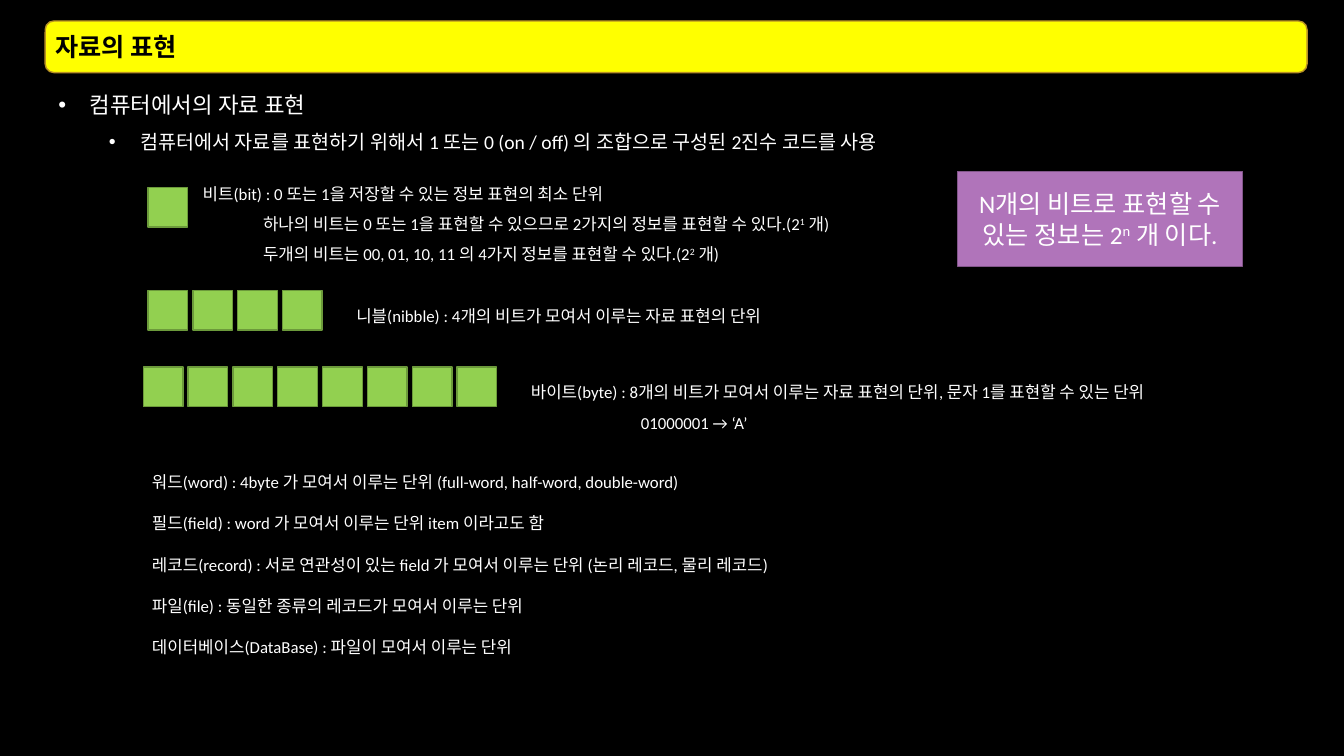
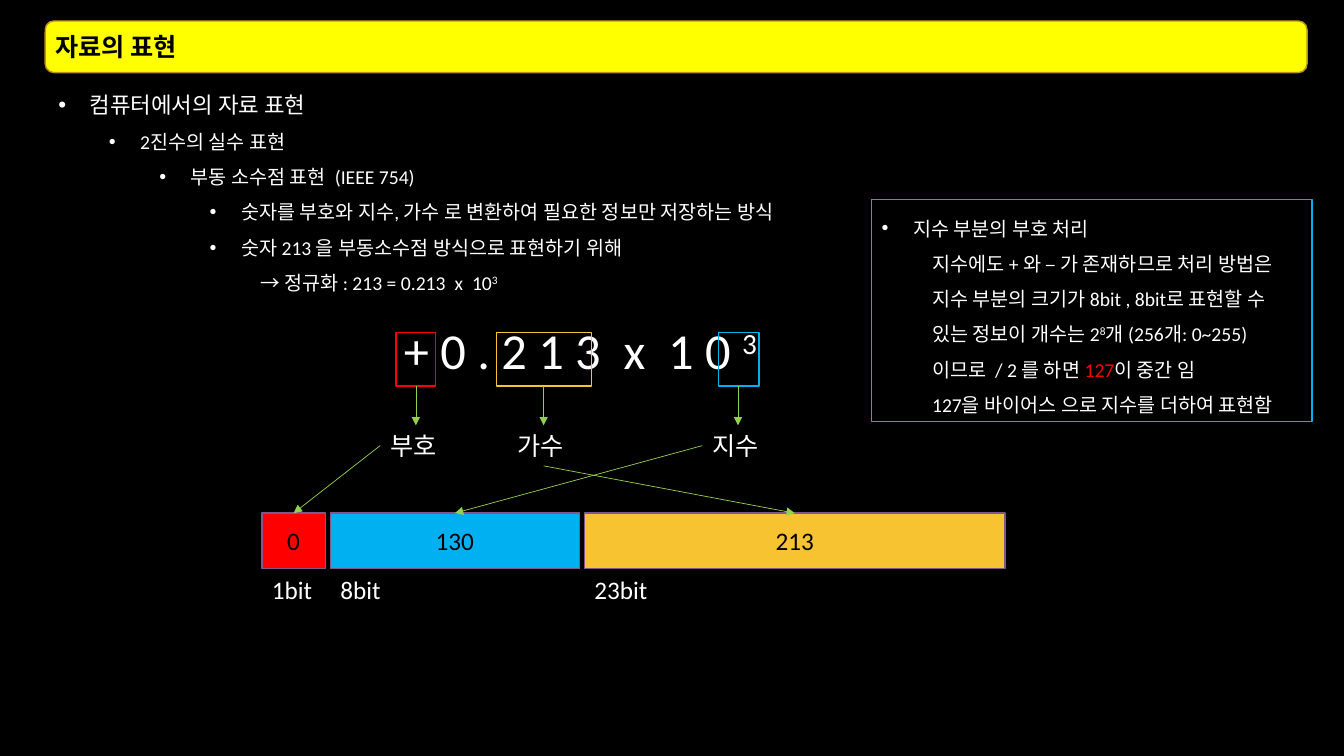
from dataclasses import dataclass

from lxml.etree import SubElement
from pptx import Presentation
from pptx.dml.color import RGBColor
from pptx.enum.shapes import MSO_CONNECTOR as Link, MSO_SHAPE as Preset
from pptx.enum.text import MSO_ANCHOR as Anchor, MSO_AUTO_SIZE as Fit, PP_ALIGN as Align
from pptx.oxml.ns import qn
from pptx.util import Cm, Pt

FONT = "Calibri"
BLACK, WHITE, YELLOW, GOLD = "000000", "FFFFFF", "FFFF00", "B79024"
GREEN, DARK_GREEN, PURPLE, DARK_PURPLE = "92D050", "6C9A3B", "B074BA", "82568A"
RED, BLUE, AMBER = "FF0000", "00B0F0", "F7C331"
SUPER, WIDE = "super", "wide"
HANG, STEP = 0.79, 1.27


@dataclass
class Line:
    """One paragraph: its spans as (text, style) pairs and its indents in cm."""
    spans: list
    size: float = 12
    level: int = 0
    margin: float = 0
    bullet: bool = False


@dataclass
class Part:
    """One part of a floating point number and the field that stores it."""
    name: str
    color: str
    frame: tuple
    label: float
    field: tuple
    value: str
    bits: str
    from_below: bool = False


def rgb(color):
    """Turn a hex string into a colour."""
    return RGBColor.from_string(color)


def plain(text, size=12, margin=0, level=0):
    """Make a line of one span without a bullet."""
    return Line([(text, None)], size, level, margin)


def bullet(text, level=0, size=14):
    """Make a bulleted line indented by its level."""
    return Line([(text, None)], size, level, HANG + STEP * level, True)


def style_span(span, style, size, color, bold):
    """Format one run, raised, widely spaced or coloured by its style."""
    font = span.font
    font.name, font.size, font.bold = FONT, Pt(size), bold
    special = style in (SUPER, WIDE, None)
    font.color.rgb = rgb(color if special else style)
    props = span._r.get_or_add_rPr()
    if style == SUPER:
        props.set("baseline", "30000")
    elif style == WIDE:
        props.set("spc", str(round(size * 22.6)))


def write(frame, lines, color=WHITE, spacing=1.0, align=Align.LEFT, bold=False):
    """Fill a text frame with lines and format them."""
    frame.word_wrap = True
    frame.text = "\n".join(line.spans[0][0] for line in lines)
    for para, line in zip(frame.paragraphs, lines):
        para.level, para.alignment = line.level, align
        para.line_spacing, para.space_before = spacing, Pt(0)
        props = para._p.get_or_add_pPr()
        props.set("marL", str(Cm(line.margin)))
        props.set("indent", str(Cm(-HANG) if line.bullet else 0))
        if line.bullet:
            SubElement(props, qn("a:buFont"), typeface="Arial")
            SubElement(props, qn("a:buChar"), char="•")
        else:
            SubElement(props, qn("a:buNone"))
        for text, _ in line.spans[1:]:
            para.add_run().text = text
        for span, (_, style) in zip(para.runs, line.spans):
            style_span(span, style, line.size, color, bold)


def add_box(page, box, fill, edge, preset=Preset.RECTANGLE):
    """Add a flat shape, hollow when it has no fill."""
    shape = page.shapes.add_shape(preset, *map(Cm, box))
    shape.shadow.inherit = False
    if fill:
        shape.fill.solid()
        shape.fill.fore_color.rgb = rgb(fill)
    else:
        shape.fill.background()
    shape.line.color.rgb, shape.line.width = rgb(edge), Pt(1)
    shape.text_frame.vertical_anchor = Anchor.MIDDLE
    return shape


def add_text(page, box, lines, spacing=1.0):
    """Add a text box that grows with its lines."""
    frame = page.shapes.add_textbox(*map(Cm, box)).text_frame
    write(frame, lines, spacing=spacing)
    frame.auto_size = Fit.SHAPE_TO_FIT_TEXT


def add_arrow(page, start, end):
    """Add a thin green arrow between two points."""
    arrow = page.shapes.add_connector(Link.STRAIGHT, *map(Cm, (*start, *end)))
    arrow.line.color.rgb, arrow.line.width = rgb(GREEN), Pt(0.5)
    SubElement(arrow.line._get_or_add_ln(), qn("a:tailEnd"), type="triangle")
    SubElement(arrow._element.spPr, qn("a:effectLst"))


def place(holder, box, anchor):
    """Move a placeholder to a box and fix its text settings."""
    holder.left, holder.top, holder.width, holder.height = map(Cm, box)
    holder.text_frame.vertical_anchor = anchor
    holder.text_frame.auto_size = Fit.NONE


def add_page(deck, title, outline):
    """Add a slide with the yellow title band and the outline."""
    page = deck.slides.add_slide(deck.slide_layouts[1])
    heading, body = page.placeholders
    title_box = (1.14, 0.53, 31.8, 1.3)
    band = add_box(page, title_box, YELLOW, GOLD, Preset.ROUNDED_RECTANGLE)
    heading.element.addprevious(band.element)
    place(heading, title_box, Anchor.MIDDLE)
    write(heading.text_frame, [plain(title, 18)], BLACK, bold=True)
    place(body, (1.22, 1.83, 31.7, 16.41), Anchor.TOP)
    write(body.text_frame, outline, spacing=1.5)
    return page


def add_unit(page, left, top, count, lines, gap=0.48, rise=0.0):
    """Draw a row of bit squares with its explanation to the right."""
    side, pitch = 1, 1.13
    for index in range(count):
        add_box(page, (left + index * pitch, top, side, side), GREEN, DARK_GREEN)
    text_left = left + count * pitch + gap
    add_text(page, (text_left, top - rise, 18.21, 0.85 * len(lines)), lines, 1.5)


def add_terms(page, left, top, terms):
    """List the larger units at equal distances."""
    for index, term in enumerate(terms):
        add_text(page, (left, top + index * 1.04, 18.21, 1.02), [plain(term)], 1.5)


def add_part(page, left, top, part):
    """Link a part of the formula to its label and its storage field."""
    label_top, label_width, label_height = top + 2.8, 1.8, 1.02
    field_top, field_height = top + 5.01, 1.4
    frame_left, frame_width = part.frame
    field_left, field_width = left + part.field[0], part.field[1]
    label_left = left + part.label
    middle = label_left + label_width / 2

    add_box(page, (left + frame_left, top + 0.46, frame_width, 1.35), None, part.color)
    add_text(page, (label_left, label_top, label_width, label_height),
             [plain(part.name, 18)])
    add_arrow(page, (middle, top + 1.8), (middle, label_top))

    field = add_box(page, (field_left, field_top, field_width, field_height),
                    part.color, DARK_PURPLE)
    write(field.text_frame, [plain(part.value, 18)], BLACK, align=Align.CENTER)
    add_text(page, (field_left, field_top + 1.42, 2.41, 1.02), [plain(part.bits, 18)])
    if part.from_below:
        start = (middle, label_top + label_height)
    else:
        start = (label_left, label_top + label_height / 2)
    add_arrow(page, start, (field_left + field_width / 2, field_top))


def add_float_diagram(page, left, top):
    """Draw the normalised number and how its parts are stored."""
    formula = Line([("+ 0 . 2 1 3", None), (" ", WIDE), ("x", None), (" ", WIDE),
                    ("1 0 ", None), ("3", SUPER)], 36)
    add_text(page, (left + 3.33, top, 11, 1.8), [formula])
    parts = [
        Part("부호", RED, (3.38, 1), 2.98, (0, 1.6), "0", "1bit"),
        Part("가수", AMBER, (5.92, 2.39), 6.2, (8.13, 10.6), "213", "23bit", True),
        Part("지수", BLUE, (11.51, 1.02), 11.1, (1.73, 6.27), "130", "8bit"),
    ]
    for part in parts:
        add_part(page, left, top, part)


def add_bias_note(page, box):
    """Explain the sign of the exponent in a blue frame."""
    note = add_box(page, box, None, BLUE)
    write(note.text_frame, [
        bullet("지수 부분의 부호 처리"),
        plain("지수에도 + 와 – 가 존재하므로 처리 방법은", 14, STEP, 1),
        Line([("지수 부분의 크기가 8bit , 8bit로 표현할 수 있는 정보이 개수는 2", None),
              ("8", SUPER), ("개 (256개: 0~255) 이므로", None), (" ", WIDE),
              ("/ 2 를 하면 ", None), ("127", RED), ("이 중간 임", None)], 14, 1, STEP),
        plain("127을 바이어스 으로 지수를 더하여 표현함", 14, STEP, 1),
    ], spacing=1.5)


def build_units_page(deck, title, topic):
    """Build the slide on the units of data."""
    page = add_page(deck, title, [
        topic,
        bullet("컴퓨터에서 자료를 표현하기 위해서 1 또는 0 (on / off) 의 조합으로 구성된 "
               "2진수 코드를 사용", 1),
    ])
    add_unit(page, 3.73, 4.72, 1, [
        plain("비트(bit) : 0 또는 1을 저장할 수 있는 정보 표현의 최소 단위"),
        Line([("하나의 비트는 0 또는 1을 표현할 수 있으므로 2가지의 정보를 표현할 수 있다.(2",
               None), ("1", SUPER), (" 개)", None)], margin=1.52),
        Line([("두개의 비트는 00, 01, 10, 11 의 4가지 정보를 표현할 수 있다.(2", None),
              ("2", SUPER), (" 개)", None)], margin=1.52),
    ], gap=0, rise=0.48)
    add_unit(page, 3.73, 7.32, 4,
             [plain("니블(nibble) : 4개의 비트가 모여서 이루는 자료 표현의 단위")])
    add_unit(page, 3.61, 9.25, 8, [
        plain("바이트(byte) : 8개의 비트가 모여서 이루는 자료 표현의 단위, "
              "문자 1를 표현할 수 있는 단위"),
        plain("01000001 → ‘A’", margin=2.77),
    ])
    callout = add_box(page, (24.13, 4.32, 7.19, 2.39), PURPLE, DARK_PURPLE)
    write(callout.text_frame, [
        Line([("N개의 비트로 표현할 수 있는 정보는 2", None), ("n", SUPER),
              (" 개 이다.", None)], 18)], align=Align.CENTER)
    add_terms(page, 3.58, 11.51, [
        "워드(word) : 4byte 가 모여서 이루는 단위 (full-word, half-word, double-word)",
        "필드(field) : word 가 모여서 이루는 단위 item 이라고도 함",
        "레코드(record) : 서로 연관성이 있는 field 가 모여서 이루는 단위 (논리 레코드, 물리 레코드)",
        "파일(file) : 동일한 종류의 레코드가 모여서 이루는 단위",
        "데이터베이스(DataBase) : 파일이 모여서 이루는 단위",
    ])


def build_float_page(deck, title, topic):
    """Build the slide on floating point numbers."""
    page = add_page(deck, title, [
        topic,
        bullet("2진수의 실수 표현", 1),
        Line([("부동 소수점 표현", None), (" ", WIDE), ("(IEEE 754)", None)],
             14, 2, HANG + 2 * STEP, True),
        bullet("숫자를 부호와 지수, 가수 로 변환하여 필요한 정보만 저장하는 방식", 3),
        bullet("숫자 213 을 부동소수점 방식으로 표현하기 위해", 3),
        Line([("→ 정규화 : 213 = 0.213", None), (" ", WIDE), ("x", None), (" ", WIDE),
              ("10", None), ("3", SUPER)], 14, 4, 4 * STEP),
    ])
    add_float_diagram(page, 6.6, 7.92)
    add_bias_note(page, (21.97, 5.03, 11.1, 5.59))


def main():
    """Build and save the deck."""
    deck = Presentation()
    deck.slide_width, deck.slide_height = Cm(33.87), Cm(19.05)
    backdrop = deck.slide_master.background.fill
    backdrop.solid()
    backdrop.fore_color.rgb = rgb(BLACK)
    title, topic = "자료의 표현", bullet("컴퓨터에서의 자료 표현", size=16)
    build_units_page(deck, title, topic)
    build_float_page(deck, title, topic)
    deck.save("out.pptx")


if __name__ == "__main__":
    main()
